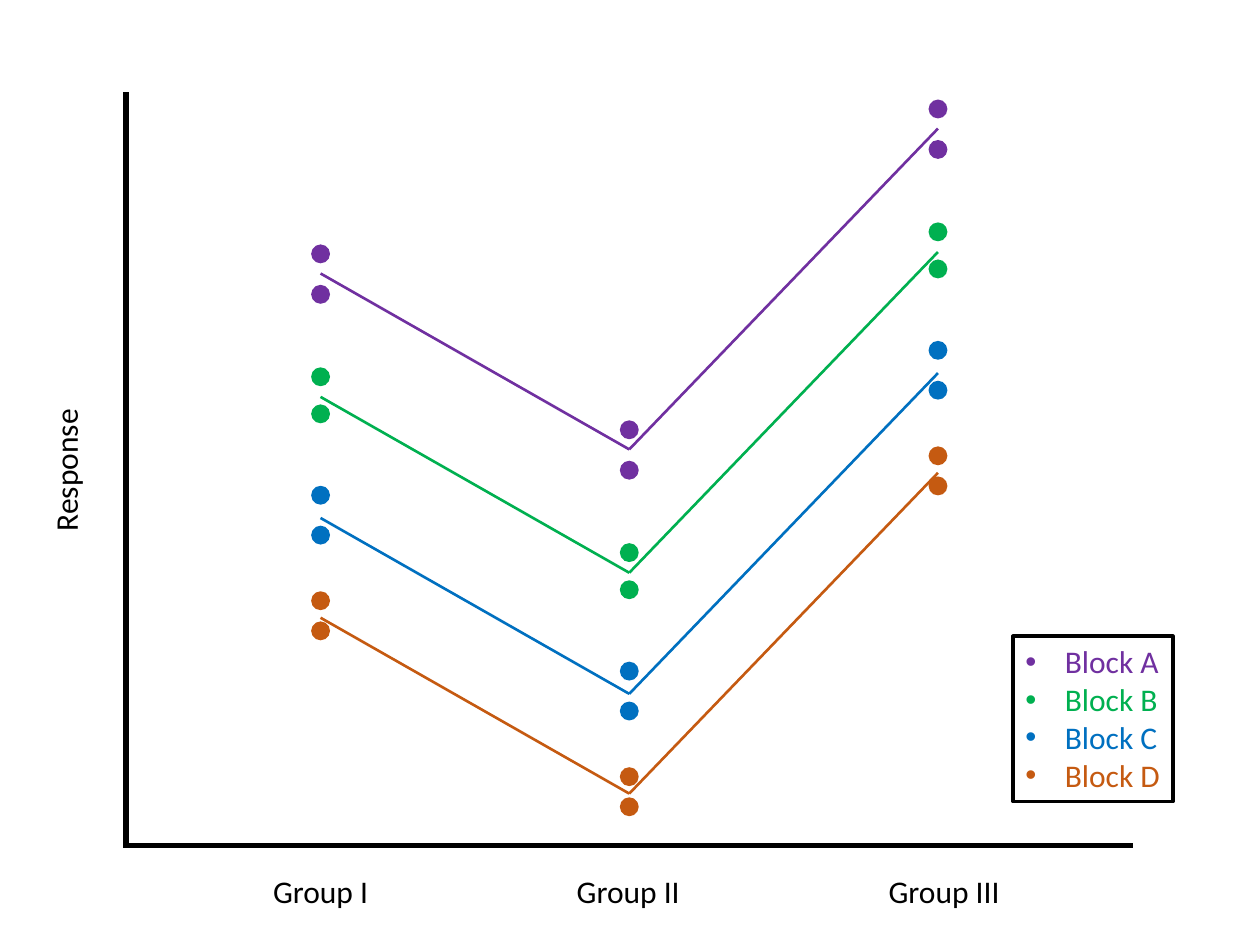
import pptx
import pptx.util
import pptx.dml.color
import pptx.enum.shapes
import pptx.enum.text
from lxml import etree
from pptx.oxml.ns import qn

Pt = pptx.util.Pt
RGBColor = pptx.dml.color.RGBColor
BLACK = RGBColor(0x00, 0x00, 0x00)
PURPLE = RGBColor(0x70, 0x30, 0xA0)
GREEN = RGBColor(0x00, 0xB0, 0x50)
BLUE = RGBColor(0x00, 0x70, 0xC0)
ORANGE = RGBColor(0xC5, 0x5A, 0x11)

FONT = "Calibri"
DOT = 10.8
LABEL_HEIGHT = 29

GROUP_X = [111.2, 287.6, 464]
GROUP_SHIFT = [0, 100.5, -82.8]
GROUP_LABELS = [("Group I", 111.2, 70), ("Group II", 287, 74), ("Group III", 467.5, 78.5)]

BLOCKS = [
    ("Block A", PURPLE, (92.5, 115.6), 103.7),
    ("Block B", GREEN, (162.7, 183.9), 174.2),
    ("Block C", BLUE, (230.4, 253.2), 243.4),
    ("Block D", ORANGE, (290.7, 307.9), 300.4),
]


def add_line(shapes, start, end, color, width):
    """Draw a straight line without a shadow."""
    line = shapes.add_connector(
        pptx.enum.shapes.MSO_CONNECTOR.STRAIGHT, *(Pt(v) for v in (*start, *end)))
    line.line.color.rgb = color
    line.line.width = Pt(width)
    etree.SubElement(line._element.spPr, qn("a:effectLst"))


def style_runs(paragraph, color):
    """Give the runs of a paragraph the slide's font and a colour."""
    for run in paragraph.runs:
        run.font.name = FONT
        run.font.size = Pt(18)
        run.font.color.rgb = color


def add_label(slide, text, center_x, top, width, rotation=0):
    """Place a one-line axis label centred on a position."""
    label = slide.shapes.add_textbox(
        Pt(center_x - width / 2), Pt(top), Pt(width), Pt(LABEL_HEIGHT))
    label.rotation = rotation
    frame = label.text_frame
    frame.word_wrap = False
    frame.auto_size = pptx.enum.text.MSO_AUTO_SIZE.SHAPE_TO_FIT_TEXT
    frame.text = text
    frame.paragraphs[0].alignment = pptx.enum.text.PP_ALIGN.CENTER
    style_runs(frame.paragraphs[0], BLACK)


def draw_axes(slide, left, top, width, height):
    """Draw both axes of the plot and their labels."""
    bottom = top + height
    add_line(slide.shapes, (left, top), (left, bottom), BLACK, 3)
    add_line(slide.shapes, (left - 0.7, bottom - 1.4),
             (left + width - 0.7, bottom - 1.4), BLACK, 3)
    add_label(slide, "Response", left - 34.5, top + 201.6, 85, 270)
    for text, x, label_width in GROUP_LABELS:
        add_label(slide, text, left + x, bottom + 10, label_width)


def draw_observations(slide, left, top):
    """Draw the two observations of each block in each group."""
    for x, shift in zip(GROUP_X, GROUP_SHIFT):
        for _, color, levels, _ in reversed(BLOCKS):
            for level in reversed(levels):
                dot = slide.shapes.add_shape(
                    pptx.enum.shapes.MSO_SHAPE.OVAL, Pt(left + x - DOT / 2),
                    Pt(top + level + shift - DOT / 2), Pt(DOT), Pt(DOT))
                dot.shadow.inherit = False
                dot.fill.solid()
                dot.fill.fore_color.rgb = color
                dot.line.fill.background()


def draw_trends(slide, left, top):
    """Join the group means of each block with a grouped pair of lines."""
    for _, color, _, mean in BLOCKS:
        means = [(left + x, top + mean + shift) for x, shift in zip(GROUP_X, GROUP_SHIFT)]
        trend = slide.shapes.add_group_shape()
        for start, end in zip(means, means[1:]):
            add_line(trend.shapes, start, end, color, 1.5)


def draw_legend(slide, left, top, width, height):
    """Draw the framed list of blocks."""
    legend = slide.shapes.add_shape(
        pptx.enum.shapes.MSO_SHAPE.RECTANGLE, Pt(left), Pt(top), Pt(width), Pt(height))
    legend.shadow.inherit = False
    legend.fill.background()
    legend.line.color.rgb = BLACK
    legend.line.width = Pt(2)
    frame = legend.text_frame
    frame.word_wrap = False
    frame.auto_size = pptx.enum.text.MSO_AUTO_SIZE.SHAPE_TO_FIT_TEXT
    frame.vertical_anchor = pptx.enum.text.MSO_ANCHOR.TOP
    frame.text = "\n".join(block[0] for block in BLOCKS)
    for paragraph, (_, color, _, _) in zip(frame.paragraphs, BLOCKS):
        paragraph.alignment = pptx.enum.text.PP_ALIGN.LEFT
        style_runs(paragraph, color)
        properties = paragraph._p.get_or_add_pPr()
        properties.set("marL", str(Pt(22.5)))
        properties.set("indent", str(-Pt(22.5)))
        etree.SubElement(properties, qn("a:buFont"), typeface="Arial")
        etree.SubElement(properties, qn("a:buChar"), char="•")


def main():
    """Build the block design slide and save it."""
    deck = pptx.Presentation()
    deck.slide_width, deck.slide_height = Pt(720), Pt(540)
    slide = deck.slides.add_slide(deck.slide_layouts[6])
    plot_left, plot_top = 72, 52.6
    draw_axes(slide, plot_left, plot_top, 576, 432)
    draw_observations(slide, plot_left, plot_top)
    draw_legend(slide, 578.9, 363.6, 91.4, 94.5)
    draw_trends(slide, plot_left, plot_top)
    deck.save("out.pptx")


if __name__ == "__main__":
    main()
